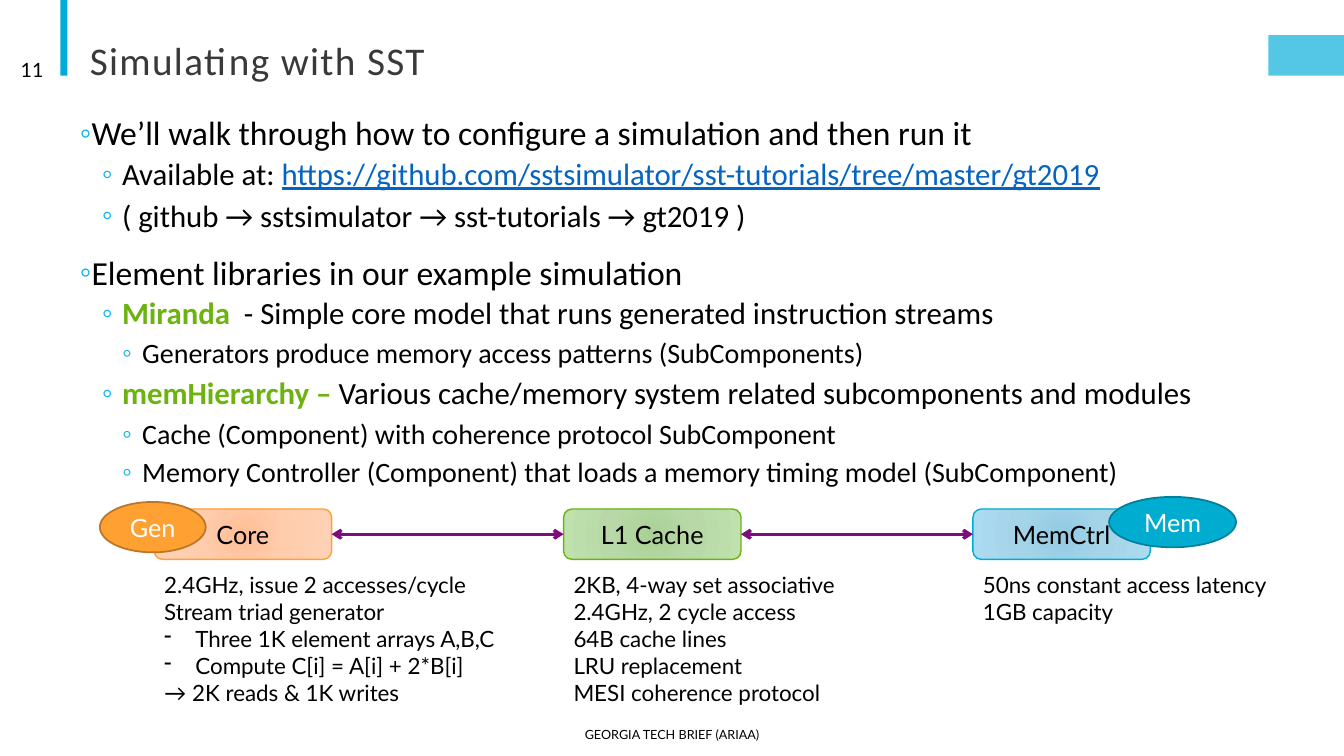
from dataclasses import dataclass

from lxml import etree
from pptx import Presentation
from pptx import util as u
from pptx.dml.color import RGBColor
from pptx.enum import shapes, text
from pptx.oxml import ns


@dataclass(frozen=True)
class Theme:
    heading_font: str = "Calibri"
    label_font: str = "Lato"
    title_size: int = 28
    level_sizes: tuple = (24, 22, 20)
    box_size: int = 18
    note_size: int = 16
    number_size: int = 14
    footer_size: int = 9
    ink: str = "000000"
    white: str = "FFFFFF"
    title: str = "3B3838"
    accent: str = "00ACD9"
    bullet: str = "00B0F0"
    link: str = "0563C1"
    green: str = "6CB312"
    arrow: str = "7D0D7C"


THEME = Theme()
LEVEL_INDENTS = (0.1, 0.42, 0.62)
HANGING = 0.2

OUTLINE = [
    (0, [("We’ll walk through how to configure a simulation and then run it", "plain")]),
    (1, [("Available at: ", "plain"),
         ("https://github.com/sstsimulator/sst-tutorials/tree/master/gt2019", "link")]),
    (1, [("( github → sstsimulator → sst-tutorials → gt2019 )", "plain")]),
    (0, [("Element libraries in our example simulation", "plain")]),
    (1, [("Miranda", "library"),
         ("  - Simple core model that runs generated instruction streams", "plain")]),
    (2, [("Generators produce memory access patterns (SubComponents)", "plain")]),
    (1, [("memHierarchy – ", "library"),
         ("Various cache/memory system related subcomponents and modules", "plain")]),
    (2, [("Cache (Component) with coherence protocol SubComponent", "plain")]),
    (2, [("Memory Controller (Component) that loads a memory timing model (SubComponent)",
          "plain")]),
]

# name, outline colour, gradient colours, width of the notes, notes as (bullet, text)
COMPONENTS = [
    ("Core", "FFA033", ("FFBF96", "FFCCAC", "FFD2B7"), 3.98,
     [("", "2.4GHz, issue 2 accesses/cycle"), ("", "Stream triad generator"),
      ("-", "Three 1K element arrays A,B,C"), ("-", "Compute C[i] = A[i] + 2*B[i]"),
      ("", "→ 2K reads & 1K writes")]),
    ("L1 Cache", "6CB312", ("AAD195", "B8D9A7", "BEE1AD"), 3.2,
     [("", "2KB, 4-way set associative"), ("", "2.4GHz, 2 cycle access"),
      ("", "64B cache lines"), ("", "LRU replacement"), ("", "MESI coherence protocol")]),
    ("MemCtrl", "00ADD0", ("92CBE3", "A5D4E9", "AADBF1"), 3.2,
     [("", "50ns constant access latency"), ("", "1GB capacity")]),
]

# name, fill, outline, offset from the first component and width
BADGES = [("Gen", "FFA033", "BD7626", -0.54, -0.07, 1.05),
          ("Mem", "00ADD0", "00809A", 9.47, -0.12, 1.26)]


def inches(*lengths):
    return [u.Inches(length) for length in lengths]


def style(font, size, color, name=THEME.label_font):
    font.name, font.size = name, u.Pt(size)
    font.color.rgb = RGBColor.from_string(color)


def add_xml(parent, tag, **attributes):
    return etree.SubElement(parent, ns.qn(tag), attributes)


def set_bullet(paragraph, character, left, hanging, color=THEME.ink):
    properties = paragraph._p.get_or_add_pPr()
    properties.set("marL", str(u.Inches(left)))
    properties.set("indent", str(-u.Inches(hanging)))
    add_xml(add_xml(properties, "a:buClr"), "a:srgbClr", val=color)
    add_xml(properties, "a:buChar", char=character)


def add_label(slide, box, words, size, align):
    frame = slide.shapes.add_textbox(*inches(*box)).text_frame
    frame.word_wrap = True
    frame.vertical_anchor = text.MSO_ANCHOR.MIDDLE
    paragraph = frame.paragraphs[0]
    paragraph.text, paragraph.alignment = words, align
    style(paragraph.font, size, THEME.ink)


def add_block(slide, kind, box, fill, line=None, width=1, words="", color=THEME.ink):
    shape = slide.shapes.add_shape(kind, *inches(*box))
    shape.shadow.inherit = False
    shape.fill.solid()
    shape.fill.fore_color.rgb = RGBColor.from_string(fill)
    if line:
        shape.line.color.rgb = RGBColor.from_string(line)
        shape.line.width = u.Pt(width)
    else:
        shape.line.fill.background()
    if words:
        shape.text_frame.vertical_anchor = text.MSO_ANCHOR.MIDDLE
        paragraph = shape.text_frame.paragraphs[0]
        paragraph.text, paragraph.alignment = words, text.PP_ALIGN.CENTER
        style(paragraph.font, THEME.box_size, color)
    return shape


def set_radial_gradient(shape, colors):
    solid = shape._element.spPr.find(ns.qn("a:solidFill"))
    gradient = etree.Element(ns.qn("a:gradFill"), rotWithShape="1")
    stops = add_xml(gradient, "a:gsLst")
    for position, color in zip((0, 45, 100), colors):
        stop = add_xml(stops, "a:gs", pos=str(position * 1000))
        add_xml(stop, "a:srgbClr", val=color)
    circle = add_xml(gradient, "a:path", path="circle")
    add_xml(circle, "a:fillToRect", **dict.fromkeys("ltrb", "100000"))
    solid.getparent().replace(solid, gradient)


def add_double_arrow(slide, start, end, y):
    arrow = slide.shapes.add_connector(
        shapes.MSO_CONNECTOR.STRAIGHT, *inches(start, y, end, y))
    arrow.line.color.rgb = RGBColor.from_string(THEME.arrow)
    arrow.line.width = u.Pt(2.25)
    line = arrow.line._get_or_add_ln()
    for end_tag in ("a:headEnd", "a:tailEnd"):
        add_xml(line, end_tag, type="arrow")
    add_xml(arrow._element.spPr, "a:effectLst")


def add_frame(slide, width, height):
    """Accent bars, slide number and footer."""
    rectangle = shapes.MSO_SHAPE.RECTANGLE
    add_block(slide, rectangle, (0.6, 0, 0.07, 0.75), THEME.accent)
    tab = add_block(slide, rectangle, (width - 0.75, 0.35, 0.75, 0.4), THEME.accent)
    color = tab._element.spPr.find(".//" + ns.qn("a:srgbClr"))
    add_xml(color, "a:alpha", val="67000")
    add_label(slide, (0.07, 0.49, 0.46, 0.4), "11", THEME.number_size, text.PP_ALIGN.RIGHT)
    add_label(slide, ((width - 5.27) / 2, height - 0.41, 5.27, 0.4),
              "GEORGIA TECH BRIEF (ARIAA)", THEME.footer_size, text.PP_ALIGN.CENTER)


def place(placeholder, box):
    placeholder.left, placeholder.top, placeholder.width, placeholder.height = inches(*box)
    placeholder.text_frame.auto_size = text.MSO_AUTO_SIZE.NONE
    return placeholder.text_frame


def fill_title(placeholder, box):
    frame = place(placeholder, box)
    frame.vertical_anchor = text.MSO_ANCHOR.BOTTOM
    paragraph = frame.paragraphs[0]
    paragraph.alignment, paragraph.line_spacing = text.PP_ALIGN.LEFT, 0.85
    run = paragraph.add_run()
    run.text = "Simulating with SST"
    style(run.font, THEME.title_size, THEME.title, THEME.heading_font)
    run._r.get_or_add_rPr().set("spc", "100")


def fill_outline(placeholder, box):
    frame = place(placeholder, box)
    frame.margin_left = frame.margin_right = 0
    for index, (level, runs) in enumerate(OUTLINE):
        paragraph = frame.add_paragraph() if index else frame.paragraphs[0]
        paragraph.level, paragraph.line_spacing = level, 0.9
        paragraph.space_before = u.Pt((2 if level else 12) if index else 0)
        paragraph.space_after = u.Pt(4 if level else 2)
        set_bullet(paragraph, "◦", LEVEL_INDENTS[level], HANGING, THEME.bullet)
        style(paragraph.font, THEME.level_sizes[level], THEME.ink, THEME.heading_font)
        for words, role in runs:
            run = paragraph.add_run()
            run.text = words
            if role == "link":
                run.font.underline = True
                run.font.color.rgb = RGBColor.from_string(THEME.link)
            elif role == "library":
                run.font.bold = True
                run.font.color.rgb = RGBColor.from_string(THEME.green)


def add_notes(slide, box, notes):
    frame = slide.shapes.add_textbox(*inches(*box)).text_frame
    frame.word_wrap = True
    for index, (bullet, words) in enumerate(notes):
        paragraph = frame.add_paragraph() if index else frame.paragraphs[0]
        paragraph.text = words
        if bullet:
            set_bullet(paragraph, bullet, 0.31, 0.31)
        style(paragraph.font, THEME.note_size, THEME.ink)


def add_pipeline(slide, left, top, pitch=4.06, width=1.76, height=0.5):
    """Components in a row, joined by arrows, with notes below and badges on top."""
    for index, (name, line, colors, note_width, notes) in enumerate(COMPONENTS):
        x = left + index * pitch
        shape = add_block(slide, shapes.MSO_SHAPE.ROUNDED_RECTANGLE,
                          (x, top, width, height), colors[0], line, 1, name)
        set_radial_gradient(shape, colors)
        if index:
            add_double_arrow(slide, x - pitch + width, x, top + height / 2)
        add_notes(slide, (x, top + 0.57, note_width, 0.42 + 0.25 * (len(notes) - 1)), notes)
    for name, fill, line, dx, dy, badge_width in BADGES:
        add_block(slide, shapes.MSO_SHAPE.OVAL, (left + dx, top + dy, badge_width, height),
                  fill, line, 1.25, name, THEME.white)


def main():
    width, height = 13.33, 7.5
    presentation = Presentation()
    presentation.slide_width, presentation.slide_height = inches(width, height)
    slide = presentation.slides.add_slide(presentation.slide_layouts[1])
    add_frame(slide, width, height)
    fill_title(slide.shapes.title, (0.79, 0.26, 11, 0.62))
    fill_outline(slide.placeholders[1], (0.79, 1.11, 12.05, 5.56))
    add_pipeline(slide, 1.53, 5.05)
    presentation.save("out.pptx")


if __name__ == "__main__":
    main()
